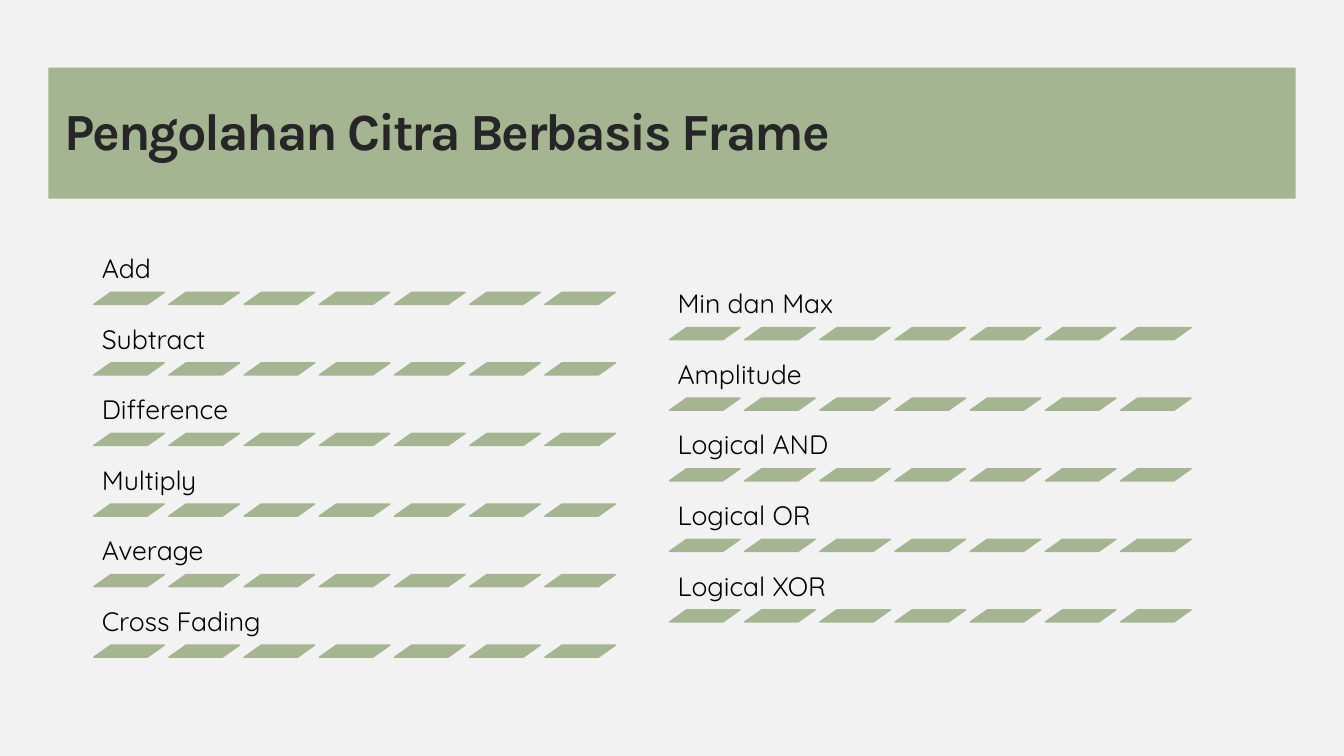
from pptx import Presentation, util as u
from pptx.dml.color import RGBColor
from pptx.enum import shapes, text

COLORS = {"background": "F2F2F2", "sage": "A5B592", "title": "262626", "label": "000000"}
OPERATIONS = [
    (0.93, 2.42, ["Add", "Subtract", "Difference", "Multiply", "Average", "Cross Fading"]),
    (6.64, 2.77, ["Min dan Max", "Amplitude", "Logical AND", "Logical OR", "Logical XOR"]),
]
ROW_PITCH = 0.7
LABEL_WIDTH, LABEL_HEIGHT = 5.28, 0.48
DASH_COUNT, DASH_WIDTH, DASH_HEIGHT = 7, 0.7, 0.12
DASH_PITCH = 5.22 / DASH_COUNT


class SlideBuilder:
    """Holds the slide and its style, and draws the title band and lists."""

    def __init__(self, prs):
        self.slide = prs.slides.add_slide(prs.slide_layouts[5])
        fill = self.slide.background.fill
        fill.solid()
        fill.fore_color.rgb = self.color("background")

    def color(self, name):
        return RGBColor.from_string(COLORS[name])

    def box(self, *lengths):
        return [u.Inches(length) for length in lengths]

    def set_text(self, shape, words, font, size, color, anchor, inset, bold=False):
        frame = shape.text_frame
        frame.text = words
        frame.word_wrap = True
        frame.auto_size = text.MSO_AUTO_SIZE.NONE
        frame.vertical_anchor = anchor
        frame.margin_left = frame.margin_right = u.Inches(inset)
        frame.margin_top = frame.margin_bottom = u.Inches(inset)
        paragraph = frame.paragraphs[0]
        paragraph.alignment = text.PP_ALIGN.LEFT
        paragraph.line_spacing = 0.9
        paragraph.font.name = font
        paragraph.font.size = u.Pt(size)
        paragraph.font.bold = bold
        paragraph.font.color.rgb = self.color(color)
        return paragraph

    def shape(self, parent, kind, *lengths):
        shape = parent.shapes.add_shape(kind, *self.box(*lengths))
        shape.shadow.inherit = False
        shape.fill.solid()
        shape.fill.fore_color.rgb = self.color("sage")
        shape.line.fill.background()
        return shape

    def title(self, words):
        title = self.slide.shapes.title
        band = self.shape(self.slide, shapes.MSO_SHAPE.RECTANGLE, 0.48, 0.67, 12.37, 1.3)
        title._element.addprevious(band._element)
        title.left, title.top, title.width, title.height = self.box(0.64, 0.77, 12.06, 1.11)
        heading = self.set_text(title, words, "Karla", 37.3, "title",
                                text.MSO_ANCHOR.MIDDLE, 0, bold=True)
        heading.runs[0]._r.get_or_add_rPr().set("spc", "-150")

    def label(self, group, words, left, top):
        label = group.shapes.add_textbox(*self.box(left, top, LABEL_WIDTH, LABEL_HEIGHT))
        self.set_text(label, words, "Quicksand", 19, "label", text.MSO_ANCHOR.BOTTOM, 0.08)

    def dashes(self, group, left, top):
        for i in range(DASH_COUNT):
            dash = self.shape(group, shapes.MSO_SHAPE.PARALLELOGRAM,
                              left + i * DASH_PITCH, top, DASH_WIDTH, DASH_HEIGHT)
            dash.adjustments[0] = 1.41
            dash.line.color.rgb = self.color("sage")
            dash.line.width = u.Pt(1)

    def operation_list(self, left, top, names):
        group = self.slide.shapes.add_group_shape()
        for row, name in enumerate(names):
            row_top = top + row * ROW_PITCH
            self.label(group, name, left, row_top)
            self.dashes(group, left, row_top + LABEL_HEIGHT)


def main():
    prs = Presentation()
    prs.slide_width, prs.slide_height = u.Inches(13.33), u.Inches(7.5)
    builder = SlideBuilder(prs)
    builder.title("Pengolahan Citra Berbasis Frame")
    for left, top, names in OPERATIONS:
        builder.operation_list(left, top, names)
    prs.save("out.pptx")


if __name__ == "__main__":
    main()
